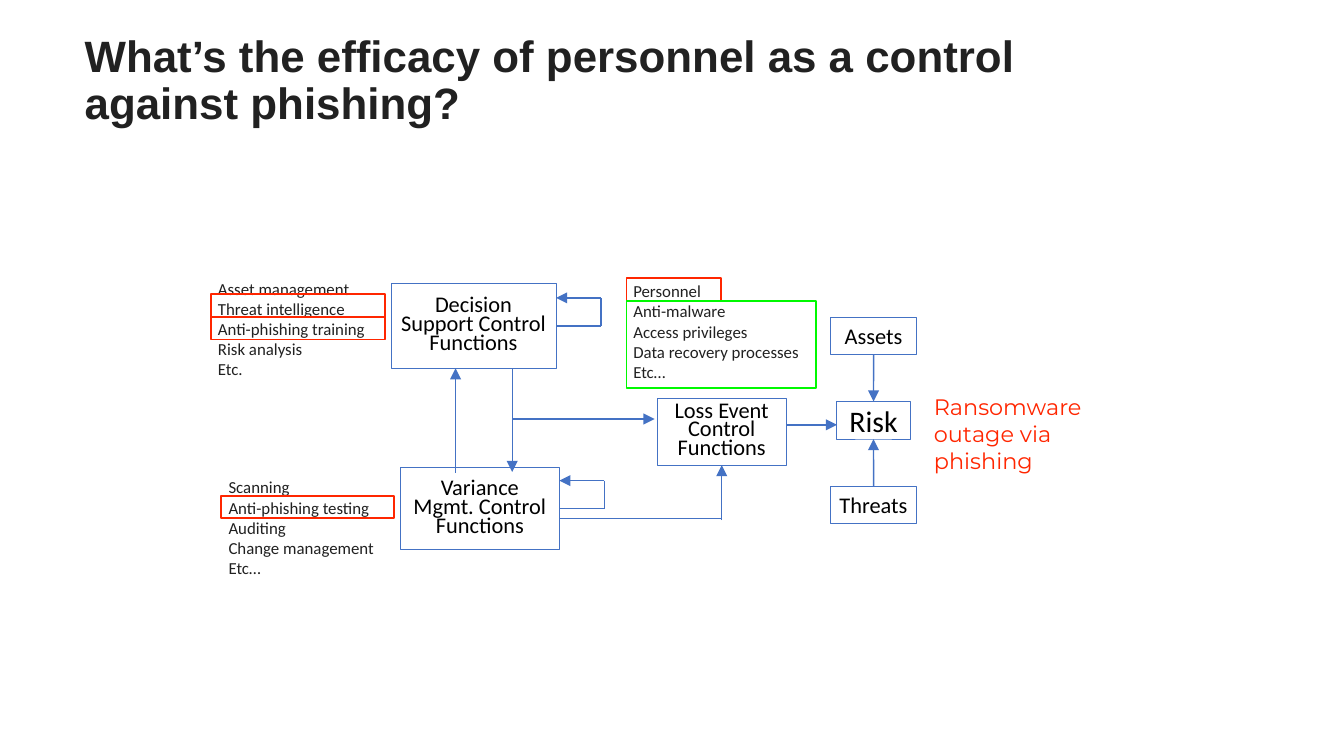
from dataclasses import dataclass

from lxml import etree
from pptx import Presentation
from pptx.dml.color import RGBColor
from pptx.enum.shapes import MSO_CONNECTOR, MSO_SHAPE
from pptx.enum.text import MSO_ANCHOR, MSO_AUTO_SIZE, PP_ALIGN
from pptx.oxml.ns import qn
from pptx.util import Cm, Pt

STRAIGHT = MSO_CONNECTOR.STRAIGHT
RECTANGLE = MSO_SHAPE.RECTANGLE
MIDDLE = MSO_ANCHOR.MIDDLE
TOP_ANCHOR = MSO_ANCHOR.TOP
BOTTOM_ANCHOR = MSO_ANCHOR.BOTTOM
NO_AUTOFIT = MSO_AUTO_SIZE.NONE
GROW = MSO_AUTO_SIZE.SHAPE_TO_FIT_TEXT
CENTER = PP_ALIGN.CENTER
LEFT_ALIGN = PP_ALIGN.LEFT
TOP, LEFT, BOTTOM, RIGHT = range(4)


@dataclass(frozen=True)
class Theme:
    ink: str = "212121"
    black: str = "000000"
    white: str = "FFFFFF"
    blue: str = "4472C4"
    red: str = "FF2600"
    green: str = "00F900"
    heading_font: str = "Arial"
    body_font: str = "Calibri"
    note_font: str = "Montserrat"
    title_size: float = 23.5
    risk_size: float = 16
    box_size: float = 12
    list_size: float = 9
    box_line: float = 0.25
    arrow_line: float = 0.75
    highlight_line: float = 1


def set_attributes(target, values):
    for name, value in values.items():
        setattr(target, name, value)


class DiagramSlide:
    def __init__(self, slide, theme):
        self.slide = slide
        self.theme = theme

    def set_text(self, shape, lines, size, color, font, inset=0.08, align=LEFT_ALIGN,
                 spacing=1.0, bold=False, **frame_format):
        frame = shape.text_frame
        frame.text = "\n".join(lines)
        margins = dict.fromkeys(
            ("margin_left", "margin_top", "margin_right", "margin_bottom"), Cm(inset))
        set_attributes(frame, {"word_wrap": True, "auto_size": NO_AUTOFIT,
                               **margins, **frame_format})
        for paragraph in frame.paragraphs:
            set_attributes(paragraph, {"alignment": align, "line_spacing": spacing,
                                       "space_before": Pt(0)})
            set_attributes(paragraph.font, {"name": font, "size": Pt(size), "bold": bold})
            paragraph.font.color.rgb = RGBColor.from_string(color)

    def title(self, text, left, top, width, height):
        shape = self.slide.shapes.title
        set_attributes(shape, {"left": Cm(left), "top": Cm(top),
                               "width": Cm(width), "height": Cm(height)})
        self.set_text(shape, [text], self.theme.title_size, self.theme.ink,
                      self.theme.heading_font, inset=0, spacing=0.9, bold=True,
                      vertical_anchor=BOTTOM_ANCHOR)

    def rectangle(self, left, top, width, height, color, weight):
        shape = self.slide.shapes.add_shape(
            RECTANGLE, Cm(left), Cm(top), Cm(width), Cm(height))
        shape.shadow.inherit = False
        shape.fill.background()
        shape.line.color.rgb = RGBColor.from_string(color)
        shape.line.width = Pt(weight)
        return shape

    def box(self, text, left, top, width, height, size=None, spacing=1.0):
        shape = self.rectangle(left, top, width, height,
                               self.theme.blue, self.theme.box_line)
        shape.fill.solid()
        shape.fill.fore_color.rgb = RGBColor.from_string(self.theme.white)
        self.set_text(shape, [text], size or self.theme.box_size, self.theme.black,
                      self.theme.body_font, align=CENTER, spacing=spacing,
                      vertical_anchor=MIDDLE)
        return shape

    def highlight(self, left, top, width, height, color):
        self.rectangle(left, top, width, height, color, self.theme.highlight_line)

    def text_box(self, lines, left, top, width, height, **text_format):
        shape = self.slide.shapes.add_textbox(Cm(left), Cm(top), Cm(width), Cm(height))
        self.set_text(shape, lines, auto_size=GROW, vertical_anchor=TOP_ANCHOR,
                      **text_format)

    def list_box(self, lines, left, top, width):
        self.text_box(lines, left, top, width, 2.01, size=self.theme.list_size,
                      color=self.theme.ink, font=self.theme.body_font, word_wrap=False)

    def connector(self, start, end, arrow=True, begin=None, finish=None):
        connector = self.slide.shapes.add_connector(
            STRAIGHT, *(Cm(value) for value in (*start, *end)))
        if begin:
            connector.begin_connect(*begin)
        if finish:
            connector.end_connect(*finish)
        connector.line.color.rgb = RGBColor.from_string(self.theme.blue)
        connector.line.width = Pt(self.theme.arrow_line)
        properties = connector.element.spPr
        if arrow:
            etree.SubElement(properties.find(qn("a:ln")), qn("a:tailEnd"), type="triangle")
        etree.SubElement(properties, qn("a:effectLst"))

    def loop(self, box):
        right = (box.left + box.width) / Cm(1)
        middle = (box.top + box.height / 2) / Cm(1)
        outer, upper = right + 0.85, middle - 0.53
        self.connector((right, middle), (outer, middle), arrow=False, begin=(box, RIGHT))
        self.connector((outer, middle), (outer, upper), arrow=False)
        self.connector((outer, upper), (right, upper))


def main():
    theme = Theme()
    presentation = Presentation()
    presentation.slide_width = Cm(25.4)
    presentation.slide_height = Cm(14.29)
    slide = presentation.slides.add_slide(presentation.slide_layouts[5])
    diagram = DiagramSlide(slide, theme)

    diagram.title("What’s the efficacy of personnel as a control against phishing?",
                  1.6, 0.61, 19.46, 1.83)

    risk = diagram.box("Risk", 15.81, 7.59, 1.4, 0.71, size=theme.risk_size)
    threats = diagram.box("Threats", 15.7, 9.19, 1.62, 0.71)
    assets = diagram.box("Assets", 15.7, 5.99, 1.62, 0.71)
    loss_event = diagram.box("Loss Event Control Functions",
                             12.42, 7.52, 2.44, 1.27, spacing=0.7)
    variance = diagram.box("Variance\vMgmt. Control Functions",
                           7.57, 8.84, 3, 1.55, spacing=0.7)
    decision = diagram.box("Decision\vSupport Control Functions",
                           7.39, 5.36, 3.12, 1.6, spacing=0.7)

    diagram.connector((16.51, 9.19), (16.51, 8.3), begin=(threats, TOP),
                      finish=(risk, BOTTOM))
    diagram.connector((16.51, 6.7), (16.51, 7.59), begin=(assets, BOTTOM),
                      finish=(risk, TOP))
    diagram.connector((14.86, 8.03), (15.82, 8.03))
    diagram.connector((13.64, 9.83), (13.64, 8.79), finish=(loss_event, BOTTOM))
    diagram.connector((10.57, 9.8), (13.64, 9.8), arrow=False)
    diagram.connector((9.68, 6.96), (9.68, 8.92))
    diagram.connector((9.68, 7.92), (12.37, 7.92))
    diagram.connector((8.61, 8.94), (8.61, 6.96))
    for box in (decision, variance):
        diagram.loop(box)

    diagram.list_box(["Asset management", "Threat intelligence", "Anti-phishing training",
                      "Risk analysis", "Etc."], 4.04, 5.18, 2.95)
    diagram.list_box(["Scanning", "Anti-phishing testing", "Auditing",
                      "Change management", "Etc…"], 4.24, 8.94, 2.92)
    diagram.list_box(["Personnel", "Anti-malware", "Access privileges",
                      "Data recovery processes", "Etc…"], 11.89, 5.23, 3.3)
    diagram.text_box(["Ransomware outage via phishing"], 17.55, 7.34, 4.3, 1.17,
                     size=theme.box_size, color=theme.red, font=theme.note_font, inset=0.1)

    for left, top, width in ((11.84, 5.26, 1.78), (4.17, 9.37, 3.28),
                             (3.99, 5.99, 3.28), (3.99, 5.56, 3.28)):
        diagram.highlight(left, top, width, 0.43, theme.red)
    diagram.highlight(11.84, 5.69, 3.58, 1.65, theme.green)

    presentation.save("out.pptx")


if __name__ == "__main__":
    main()
